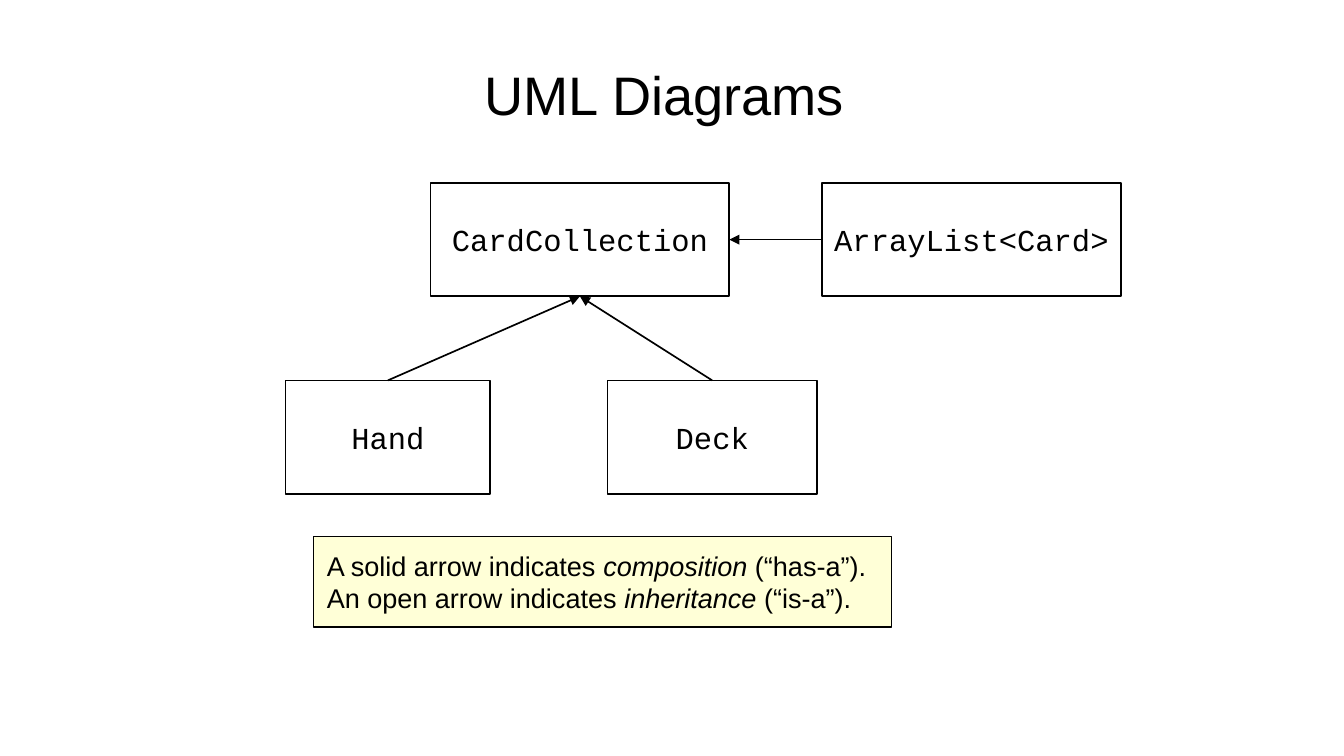
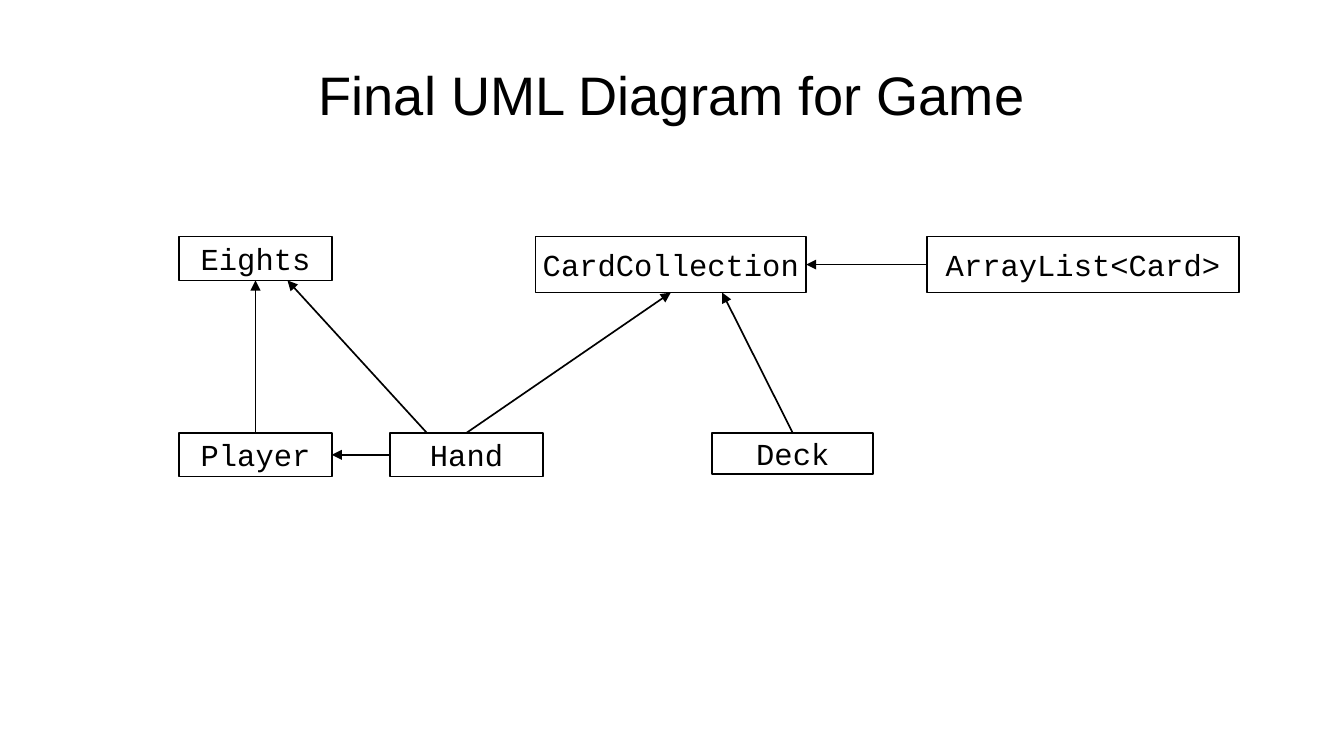
from dataclasses import dataclass
from typing import Any

from lxml.etree import SubElement
from pptx import Presentation
from pptx.dml.color import RGBColor
from pptx.enum.shapes import MSO_CONNECTOR, MSO_SHAPE
from pptx.enum.text import MSO_ANCHOR, PP_ALIGN
from pptx.oxml.ns import qn
from pptx.util import Pt

BLACK, WHITE, CREAM = "000000", "FFFFFF", "FFFFD7"
SANS, MONO = "Arial", "Courier New"
STROKE = 0.99

Spot = tuple[float, float]
TOP, LEFT, BASE, RIGHT = (0.5, 0), (0, 0.5), (0.5, 1), (1, 0.5)
SITES = {TOP: 0, LEFT: 1, BASE: 2, RIGHT: 3}


@dataclass(frozen=True)
class Frame:
    left: float
    top: float
    width: float
    height: float

    def point(self, spot: Spot) -> tuple[Pt, Pt]:
        return (Pt(self.left + self.width * spot[0]),
                Pt(self.top + self.height * spot[1]))

    def sides(self) -> tuple[Pt, ...]:
        return tuple(map(Pt, (self.left, self.top, self.width, self.height)))


@dataclass(frozen=True)
class Run:
    text: str
    slant: bool = False


@dataclass(frozen=True)
class Style:
    font: str
    size: float
    align: PP_ALIGN = PP_ALIGN.CENTER


@dataclass(frozen=True)
class Arrow:
    start: str
    end: str
    leave: Spot = TOP
    enter: Spot = BASE


@dataclass(frozen=True)
class Chart:
    title: str
    boxes: dict[str, Frame]
    arrows: list[Arrow]


HEAD = Style(SANS, 32)
LABEL = Style(MONO, 18)
PROSE = Style(SANS, 16, PP_ALIGN.LEFT)
HEAD_FRAME = Frame(39.6, 18, 714.24, 74.88)
NOTE_FRAME = Frame(185.04, 316.8, 341.28, 53.28)
INSET = {"margin_left": Pt(7.92), "margin_right": Pt(7.92),
         "margin_top": Pt(4.32), "margin_bottom": Pt(4.32), "word_wrap": False}
FLUSH = {"margin_left": 0, "margin_right": 0,
         "margin_top": 0, "margin_bottom": 0, "word_wrap": True}

CARD, LIST = "CardCollection", "ArrayList<Card>"
ROWS = (108, 224.64)
TIERS = (139.68, 255.6)
TALL, LOW = 66.96, 25.92
LINKS = [Arrow("Hand", CARD), Arrow(LIST, CARD, LEFT, RIGHT)]

CHARTS = [
    Chart("UML Diagrams ", {
        CARD: Frame(254.16, ROWS[0], 176.4, TALL),
        LIST: Frame(485.28, ROWS[0], 176.4, TALL),
        "Hand": Frame(168.48, ROWS[1], 120.96, TALL),
        "Deck": Frame(358.56, ROWS[1], 123.84, TALL),
    }, LINKS + [Arrow("Deck", CARD)]),
    Chart("Final UML Diagram for Game", {
        "Eights": Frame(105.84, TIERS[0], 90, LOW),
        CARD: Frame(316.08, TIERS[0], 159.84, 33.12),
        LIST: Frame(547.2, TIERS[0], 184.32, 33.12),
        "Player": Frame(105.84, TIERS[1], 90, LOW),
        "Hand": Frame(230.4, TIERS[1], 90, LOW),
        "Deck": Frame(420.48, TIERS[1], 95.04, 24.48),
    }, LINKS + [
        Arrow("Deck", CARD, enter=(0.69, 1)),
        Arrow("Player", "Eights"),
        Arrow("Hand", "Player", LEFT, RIGHT),
        Arrow("Hand", "Eights", (0.24, 0), (0.71, 1)),
    ]),
]

NOTE = [
    [Run("A solid arrow indicates "), Run("composition", True),
     Run(" (“has-a”).")],
    [Run("An open arrow indicates "), Run("inheritance", True),
     Run(" (“is-a”).")],
]


def assign(thing: Any, values: dict[str, Any]) -> None:
    for name, value in values.items():
        setattr(thing, name, value)


def paint(part: Any, shade: str) -> None:
    part.solid()
    part.fore_color.rgb = RGBColor.from_string(shade)


def write(shape: Any, lines: list[list[Run]], style: Style,
          format: dict[str, Any]) -> None:
    frame = shape.text_frame
    assign(frame, format | {"vertical_anchor": MSO_ANCHOR.MIDDLE})
    for index, line in enumerate(lines):
        para = frame.add_paragraph() if index else frame.paragraphs[0]
        para.alignment = style.align
        for piece in line:
            run = para.add_run()
            run.text = piece.text
            assign(run.font, {"name": style.font, "size": Pt(style.size),
                              "italic": piece.slant})
            paint(run.font.fill, BLACK)


def draw_title(slide: Any, text: str) -> None:
    box = slide.shapes.add_textbox(*HEAD_FRAME.sides())
    write(box, [[Run(text)]], HEAD, FLUSH)


def draw_box(slide: Any, frame: Frame, lines: list[list[Run]],
             style: Style = LABEL, shade: str = WHITE) -> Any:
    box = slide.shapes.add_shape(MSO_SHAPE.RECTANGLE, *frame.sides())
    box.shadow.inherit = False
    paint(box.fill, shade)
    paint(box.line.fill, BLACK)
    box.line.width = Pt(STROKE)
    write(box, lines, style, INSET)
    return box


def draw_arrow(slide: Any, arrow: Arrow, frames: dict[str, Frame],
               shapes: dict[str, Any]) -> None:
    line = slide.shapes.add_connector(
        MSO_CONNECTOR.STRAIGHT,
        *frames[arrow.start].point(arrow.leave),
        *frames[arrow.end].point(arrow.enter))
    if arrow.leave in SITES:
        line.begin_connect(shapes[arrow.start], SITES[arrow.leave])
    if arrow.enter in SITES:
        line.end_connect(shapes[arrow.end], SITES[arrow.enter])
    paint(line.line.fill, BLACK)
    line.line.width = Pt(STROKE)
    props = line._element.spPr
    SubElement(props.find(qn("a:ln")), qn("a:tailEnd"), type="triangle")
    SubElement(props, qn("a:effectLst"))


def draw_chart(deck: Any, chart: Chart) -> Any:
    slide = deck.slides.add_slide(deck.slide_layouts[6])
    paint(slide.background.fill, WHITE)
    draw_title(slide, chart.title)
    shapes = {name: draw_box(slide, frame, [[Run(name)]])
              for name, frame in chart.boxes.items()}
    for arrow in chart.arrows:
        draw_arrow(slide, arrow, chart.boxes, shapes)
    return slide


def main() -> None:
    deck = Presentation()
    assign(deck, {"slide_width": Pt(793.44), "slide_height": Pt(446.4)})
    slides = [draw_chart(deck, chart) for chart in CHARTS]
    draw_box(slides[0], NOTE_FRAME, NOTE, PROSE, CREAM)
    deck.save("out.pptx")


main()
